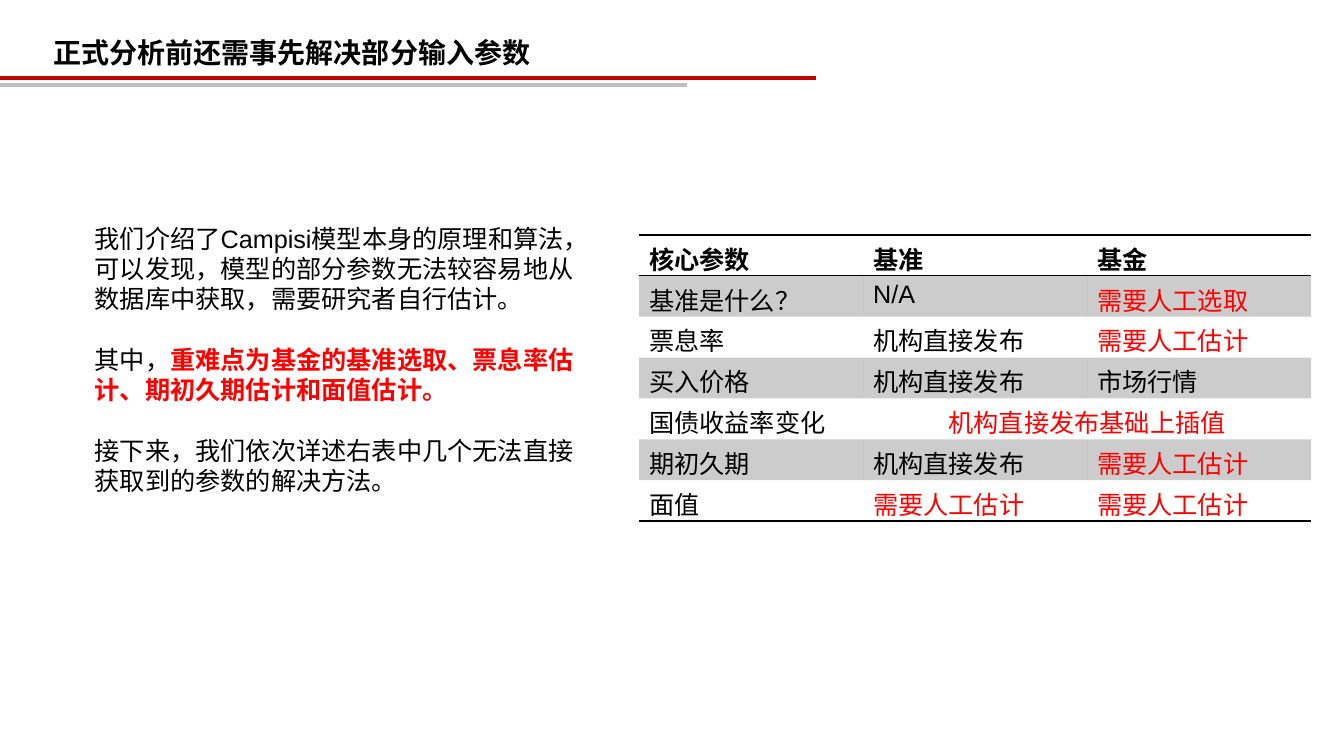
import pptx
import pptx.util
import pptx.dml.color
import pptx.enum.text
import pptx.enum.shapes
import pptx.oxml
import pptx.oxml.ns

Pt = pptx.util.Pt
RGB = pptx.dml.color.RGBColor.from_string
qn = pptx.oxml.ns.qn
theme = {
    "black": "000000", "red": "FF0000", "rule": "C00000", "gray": "BFBFBF",
    "head": 20, "body": 18, "latin": "Arial", "han": "Noto Sans CJK SC",
}


def add_run(para, text, color="black", bold=False, size="body", face="latin"):
    run = para.add_run()
    run.text = text
    style = {"name": theme[face], "size": Pt(theme[size]), "bold": bold}
    for key, val in style.items():
        setattr(run.font, key, val)
    run.font.color.rgb = RGB(theme[color])
    return run


def add_xml(node, tag, inner="", **attrs):
    text = "".join(f' {key}="{val}"' for key, val in attrs.items())
    space = pptx.oxml.ns.nsdecls("a")
    node.append(pptx.oxml.parse_xml(f"<a:{tag} {space}{text}>{inner}</a:{tag}>"))


deck = pptx.Presentation()
deck.slide_width, deck.slide_height = Pt(960), Pt(540)
slide = deck.slides.add_slide(deck.slide_layouts[5])

# Title
title = slide.shapes.title
place = {"left": 31, "top": 9.4, "width": 880, "height": 38}
for key, val in place.items():
    setattr(title, key, Pt(val))
frame = title.text_frame
form = {"word_wrap": True,
        "vertical_anchor": pptx.enum.text.MSO_ANCHOR.TOP,
        "auto_size": pptx.enum.text.MSO_AUTO_SIZE.SHAPE_TO_FIT_TEXT}
for key, val in form.items():
    setattr(frame, key, val)
para = frame.paragraphs[0]
form = {"alignment": pptx.enum.text.PP_ALIGN.LEFT,
        "line_spacing": 1.5, "space_before": Pt(2)}
for key, val in form.items():
    setattr(para, key, val)
run = add_run(para, "正式分析前还需事先解决部分输入参数",
              bold=True, size="head", face="han")
add_xml(run.font._element, "ea", typeface=theme["han"])

# Rules under the title
for y, end, color in [(56, 583, "rule"), (61, 491, "gray")]:
    line = slide.shapes.add_connector(
        pptx.enum.shapes.MSO_CONNECTOR.STRAIGHT, 0, Pt(y), Pt(end), Pt(y))
    line.line.color.rgb = RGB(theme[color])
    line.line.width = Pt(3)
    add_xml(line._element.spPr, "effectLst")

# Text on the left
notes = [
    [("我们介绍了Campisi模型本身的原理和算法，可以发现，模型的部分参数"
      "无法较容易地从数据库中获取，需要研究者自行估计。", "black", False)],
    [("其中，", "black", False),
     ("重难点为基金的基准选取、票息率估计、期初久期估计和面值估计。", "red", True)],
    [("接下来，我们依次详述右表中几个无法直接获取到的参数的解决方法。",
      "black", False)],
]
box = slide.shapes.add_textbox(Pt(60.5), Pt(156), Pt(370), Pt(203.8))
frame = box.text_frame
frame.word_wrap = True
for i, parts in enumerate(notes):
    para = frame.add_paragraph() if i else frame.paragraphs[0]
    para.space_before = Pt(21.6 if i else 0)
    for text, color, bold in parts:
        add_run(para, text, color, bold)

# Table of parameters
rows = [
    ["核心参数", "基准", "基金"],
    ["基准是什么？", "N/A", "需要人工选取"],
    ["票息率", "机构直接发布", "需要人工估计"],
    ["买入价格", "机构直接发布", "市场行情"],
    ["国债收益率变化", "机构直接发布基础上插值", ""],
    ["期初久期", "机构直接发布", "需要人工估计"],
    ["面值", "需要人工估计", "需要人工估计"],
]
last = len(rows) - 1
table = slide.shapes.add_table(
    len(rows), 3, Pt(456.5), Pt(167.8), Pt(480), Pt(204.4)).table
for key in ("first_row", "horz_banding"):
    setattr(table, key, False)
plain = "{2D5ABB26-0587-4C30-8999-92F81FD0307C}"
table._tbl.tblPr.find(qn("a:tableStyleId")).text = plain
table.cell(4, 1).merge(table.cell(4, 2))
stroke = f'<a:solidFill><a:srgbClr val="{theme["black"]}"/></a:solidFill>'

for r, row in enumerate(rows):
    for c, text in enumerate(row):
        cell = table.cell(r, c)
        para = cell.text_frame.paragraphs[0]
        if text:
            manual = "人工" in text or "插值" in text
            add_run(para, text, "red" if manual else "black", r == 0)
        if cell.is_merge_origin:
            para.alignment = pptx.enum.text.PP_ALIGN.CENTER
        # Borders come before the fill
        props = cell._tc.get_or_add_tcPr()
        edges = {0: ("lnT", "lnB"), last: ("lnB",)}.get(r, ())
        for edge in edges:
            add_xml(props, edge, stroke, w=Pt(1))
        if r % 2:
            cell.fill.solid()
            cell.fill.fore_color.rgb = RGB(theme["black"])
            tint = props.find(qn("a:solidFill"))[0]
            add_xml(tint, "alpha", val=20000)
        else:
            cell.fill.background()

deck.save("out.pptx")
